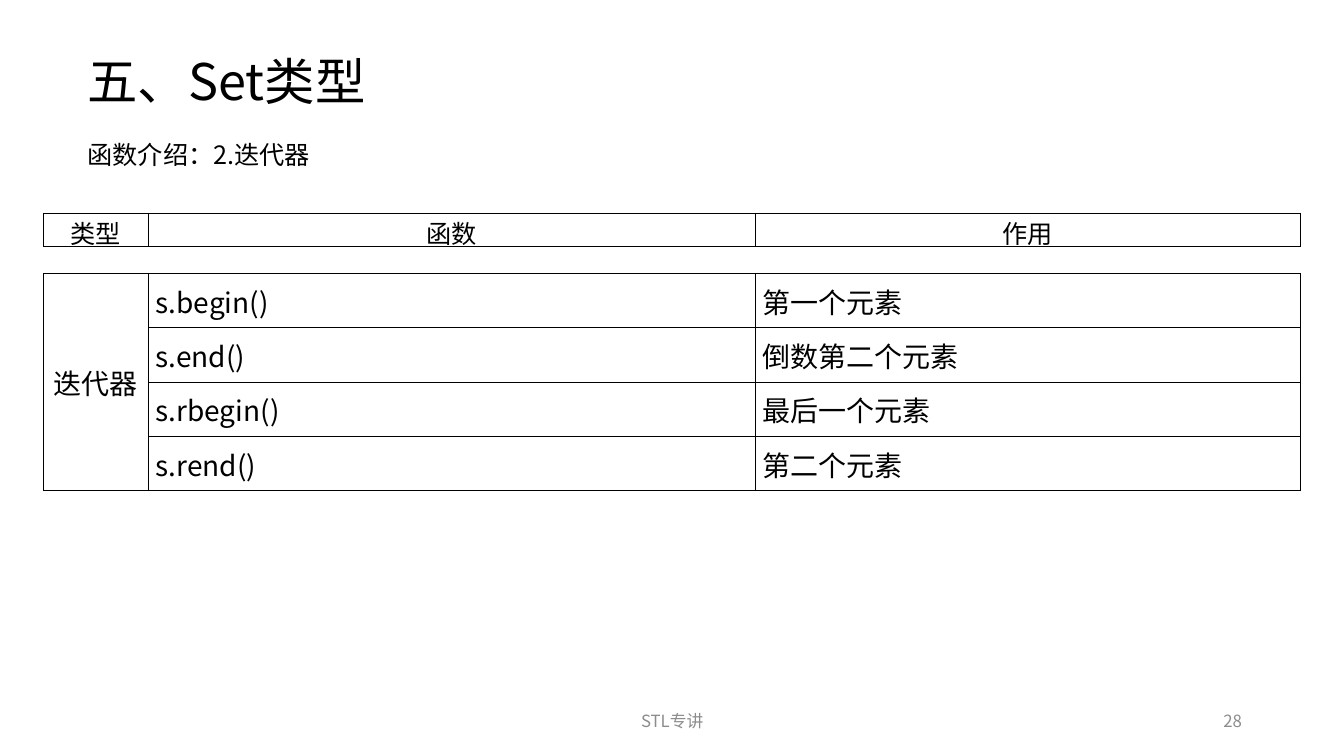
from lxml import etree
from pptx import Presentation
from pptx.dml.color import RGBColor
from pptx.enum import text
from pptx.oxml import ns
from pptx.util import Pt

THEME = {
    "font": "Noto Sans CJK SC",
    "ink": RGBColor(0x00, 0x00, 0x00),
    "muted": RGBColor(0x8C, 0x8C, 0x8C),
    "title": 36, "subtitle": 18, "header": 18, "body": 20, "footer": 12,
    "border": 0.5,
}
LEFT, CENTER, RIGHT = text.PP_ALIGN.LEFT, text.PP_ALIGN.CENTER, text.PP_ALIGN.RIGHT
TOP, MIDDLE = text.MSO_ANCHOR.TOP, text.MSO_ANCHOR.MIDDLE

# wording, (left, top, width, height), size, colour, alignment, anchor
LABELS = [
    ("五、Set类型", (55.4, 32.4, 528.5, 51.1), "title", "ink", LEFT, TOP),
    ("函数介绍：2.迭代器", (55.4, 95.8, 388.8, 28.8), "subtitle", "ink", LEFT, TOP),
    ("STL专讲", (318.2, 500.4, 324, 28.8), "footer", "muted", CENTER, MIDDLE),
    ("28", (678.2, 500.4, 216, 28.8), "footer", "muted", RIGHT, MIDDLE),
]
HEADER = [("类型", "函数", "作用")]
ITERATORS = [
    ("迭代器", "s.begin()", "第一个元素"),
    ("", "s.end()", "倒数第二个元素"),
    ("", "s.rbegin()", "最后一个元素"),
    ("", "s.rend()", "第二个元素"),
]
TABLE_LEFT = 31
COLUMNS = (75, 433.5, 389.5)
CELL_INSET, TEXT_INDENT = 0.72, 5.2


def style(para, size, colour, align):
    para.alignment = align
    font = para.font
    font.name = THEME["font"]
    font.size = Pt(THEME[size])
    font.color.rgb = THEME[colour]
    defaults = para._p.pPr.find(ns.qn("a:defRPr"))
    etree.SubElement(defaults, ns.qn("a:ea"), typeface=THEME["font"])


def add_label(page, wording, place, size, colour, align, anchor):
    frame = page.shapes.add_textbox(*map(Pt, place)).text_frame
    frame.word_wrap = True
    frame.vertical_anchor = anchor
    frame.text = wording
    style(frame.paragraphs[0], size, colour, align)


def add_borders(cell):
    properties = cell._tc.get_or_add_tcPr()
    for side in ("lnL", "lnR", "lnT", "lnB"):
        line = etree.SubElement(properties, ns.qn(f"a:{side}"), w=str(Pt(THEME["border"])))
        fill = etree.SubElement(line, ns.qn("a:solidFill"))
        etree.SubElement(fill, ns.qn("a:srgbClr"), val=str(THEME["ink"]))


def add_grid(page, rows, top, row_height, size, body_align):
    frame = page.shapes.add_table(
        len(rows), len(COLUMNS), Pt(TABLE_LEFT), Pt(top),
        Pt(sum(COLUMNS)), Pt(row_height * len(rows)))
    table = frame.table
    table.first_row = table.horz_banding = False
    for column, width in zip(table.columns, COLUMNS):
        column.width = Pt(width)
    for r, row in enumerate(rows):
        table.rows[r].height = Pt(row_height)
        for c, wording in enumerate(row):
            cell = table.cell(r, c)
            align = body_align if c else CENTER
            add_borders(cell)
            cell.fill.background()
            cell.vertical_anchor = MIDDLE
            cell.margin_left = Pt(TEXT_INDENT if align == LEFT else CELL_INSET)
            cell.margin_right = cell.margin_top = Pt(CELL_INSET)
            cell.margin_bottom = 0
            cell.text = wording
            style(cell.text_frame.paragraphs[0], size, "ink", align)
    return table


def main():
    deck = Presentation()
    deck.slide_width, deck.slide_height = Pt(960), Pt(540)
    page = deck.slides.add_slide(deck.slide_layouts[6])
    for label in LABELS:
        add_label(page, *label)
    add_grid(page, HEADER, 152.4, 23.4, "header", CENTER)
    iterators = add_grid(page, ITERATORS, 195.2, 38.8, "body", LEFT)
    iterators.cell(0, 0).merge(iterators.cell(len(ITERATORS) - 1, 0))
    deck.save("out.pptx")


if __name__ == "__main__":
    main()
